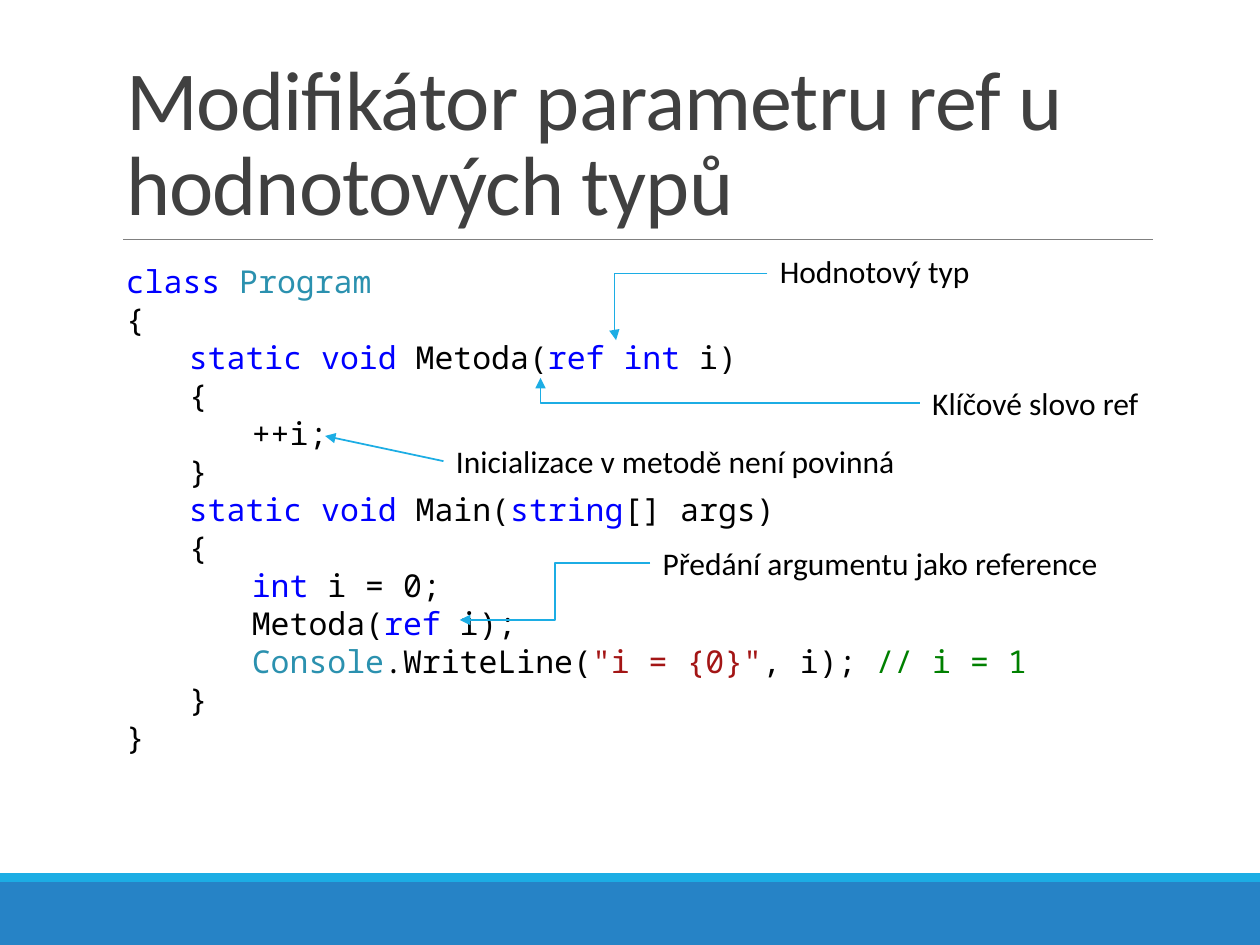
from dataclasses import dataclass, field

from lxml.etree import SubElement
from pptx import Presentation
from pptx.dml.color import RGBColor
from pptx.enum.shapes import MSO_CONNECTOR, MSO_SHAPE
from pptx.enum.text import MSO_ANCHOR, PP_ALIGN
from pptx.oxml.ns import qn
from pptx.util import Inches, Pt

COLUMNS, ROWS = 100, 75


@dataclass
class Theme:
    text: str = "000000"
    title: str = "404040"
    rule: str = "808080"
    accent: str = "1CADE4"
    band: str = "2683C6"
    keyword: str = "0000FF"
    type_name: str = "2B91AF"
    string: str = "A31515"
    comment: str = "008000"
    font: str = "Calibri"
    code_font: str = "Noto Sans Mono"
    title_size: int = 48
    body_size: int = 18
    code_leading: float = 21.7
    syntax: dict = field(default_factory=dict)

    def __post_init__(self):
        self.syntax = {word: self.keyword for word in
                       ("class", "static", "void", "ref", "int", "string")}
        self.syntax.update({"Program": self.type_name, "Console": self.type_name,
                            '"i = {0}"': self.string, "// i = 1": self.comment})


class SlideBuilder:
    """Holds the theme and slide; lengths are grid columns and rows."""

    def __init__(self, prs, theme):
        self.theme = theme
        self.col = prs.slide_width / COLUMNS
        self.row = prs.slide_height / ROWS
        self.s = prs.slides.add_slide(prs.slide_layouts[5])

    def place(self, x, y, w, h):
        return (round(x * self.col), round(y * self.row),
                round(w * self.col), round(h * self.row))

    def style(self, font, name, size, color=None):
        font.name, font.size = name, Pt(size)
        if color:
            font.color.rgb = RGBColor.from_string(color)

    def title(self, text, *box):
        sp = self.s.shapes.title
        sp.left, sp.top, sp.width, sp.height = self.place(*box)
        tf = sp.text_frame
        tf.text, tf.word_wrap = text, True
        tf.vertical_anchor = MSO_ANCHOR.BOTTOM
        p = tf.paragraphs[0]
        p.alignment, p.line_spacing = PP_ALIGN.LEFT, 0.85
        self.style(p.font, self.theme.font, self.theme.title_size, self.theme.title)
        p.runs[0].font._element.set("spc", "-50")

    def band(self, color, *box):
        sp = self.s.shapes.add_shape(MSO_SHAPE.RECTANGLE, *self.place(*box))
        sp.shadow.inherit = False
        sp.fill.solid()
        sp.fill.fore_color.rgb = RGBColor.from_string(color)
        sp.line.fill.background()

    def text_frame(self, *box):
        tf = self.s.shapes.add_textbox(*self.place(*box)).text_frame
        tf.word_wrap = True
        return tf

    def label(self, text, *box):
        p = self.text_frame(*box).paragraphs[0]
        p.text = text
        self.style(p.font, self.theme.font, self.theme.body_size, self.theme.text)

    def code(self, lines, *box):
        tf = self.text_frame(*box)
        for i, (level, tokens) in enumerate(lines):
            p = tf.add_paragraph() if i else tf.paragraphs[0]
            p.level = level
            p.line_spacing = Pt(self.theme.code_leading)
            p._p.get_or_add_pPr().set("marL", str(Inches(level / 2)))
            p._p.get_or_add_pPr().set("indent", "0")
            self.style(p.font, self.theme.code_font, self.theme.body_size)
            for token in tokens:
                r = p.add_run()
                r.text = token
                color = self.theme.syntax.get(token, self.theme.text)
                r.font.color.rgb = RGBColor.from_string(color)

    def line(self, start, end, color, width, kind=MSO_CONNECTOR.STRAIGHT):
        c = self.s.shapes.add_connector(kind, *self.place(*start, *end))
        c.line.color.rgb = RGBColor.from_string(color)
        c.line.width = Pt(width)
        SubElement(c._element.spPr, qn("a:effectLst"))
        return c

    def arrow(self, start, end, bend=None):
        """Draw an arrow; bend is the share of the width before the turn."""
        kind = MSO_CONNECTOR.STRAIGHT if bend is None else MSO_CONNECTOR.ELBOW
        c = self.line(start, end, self.theme.accent, 1, kind)
        SubElement(c.line._get_or_add_ln(), qn("a:tailEnd"), type="triangle")
        if bend is not None:
            guides = c._element.spPr.find(qn("a:prstGeom")).get_or_add_avLst()
            SubElement(guides, qn("a:gd"), name="adj1",
                       fmla=f"val {round(bend * 100000)}")


CODE = [
    (0, ["class", " ", "Program"]),
    (0, ["{"]),
    (1, ["static", " ", "void", " Metoda(", "ref", " ", "int", " i)"]),
    (1, ["{"]),
    (1, ["\t++i;"]),
    (1, ["}"]),
    (1, ["static", " ", "void", " Main(", "string", "[] args)"]),
    (1, ["{"]),
    (2, ["int", " i = 0;"]),
    (2, ["Metoda(", "ref", " i);"]),
    (2, ["Console", ".WriteLine(", '"i = {0}"', ", i); ", "// i = 1"]),
    (1, ["}"]),
    (0, ["}"]),
]

# Label text, left, top, width, arrow start row, arrow tip, bend
CALLOUTS = [
    ("Klíčové slovo ref", 73, 30, 18.5, 32, (42.9, 30), 1),
    ("Hodnotový typ", 60.9, 19.5, 18.5, 21.7, (48.9, 27), 1.01),
    ("Předání argumentu jako reference", 51.6, 42.7, 39.9, 44.7, (36.5, 49.2), 0.5),
    ("Inicializace v metodě není povinná", 35.2, 34.6, 56.3, 36.6, (25.8, 34.6), None),
]


def main():
    prs = Presentation()
    prs.slide_width, prs.slide_height = Inches(10), Inches(7.5)
    theme = Theme()
    b = SlideBuilder(prs, theme)

    # Footer bands and title rule
    b.band(theme.band, 0, 70, COLUMNS, 5)
    b.band(theme.accent, 0, 69.3, COLUMNS, 0.7)
    b.line((9.8, 19), (91.5, 19), theme.rule, 0.5)

    # Title and code listing
    b.title("Modifikátor parametru ref u hodnotových typů", 9, 3.1, 82.5, 15.9)
    b.code(CODE, 9, 20.3, 82.5, 40.4)

    # Callouts pointing into the code
    for text, left, top, width, row, tip, bend in CALLOUTS:
        b.label(text, left, top, width, 4)
        b.arrow((left, row), tip, bend)

    prs.save("out.pptx")


if __name__ == "__main__":
    main()
